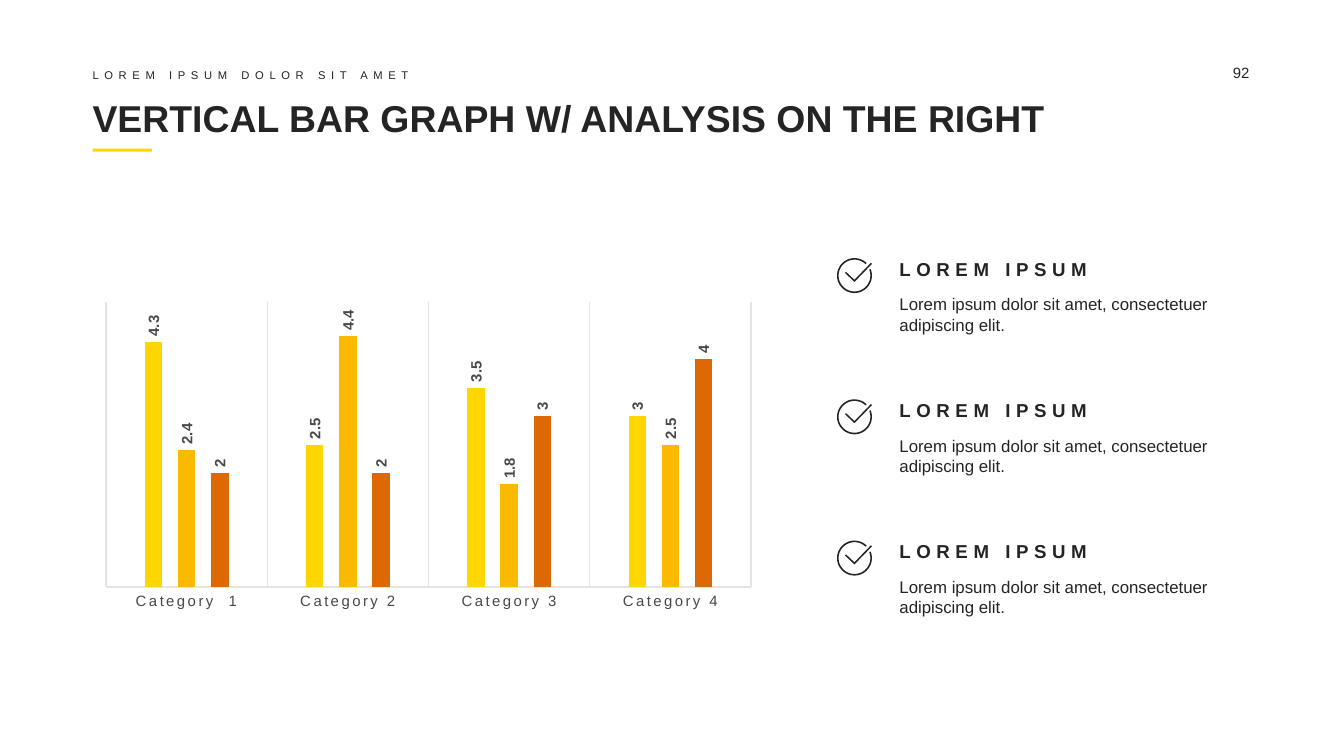
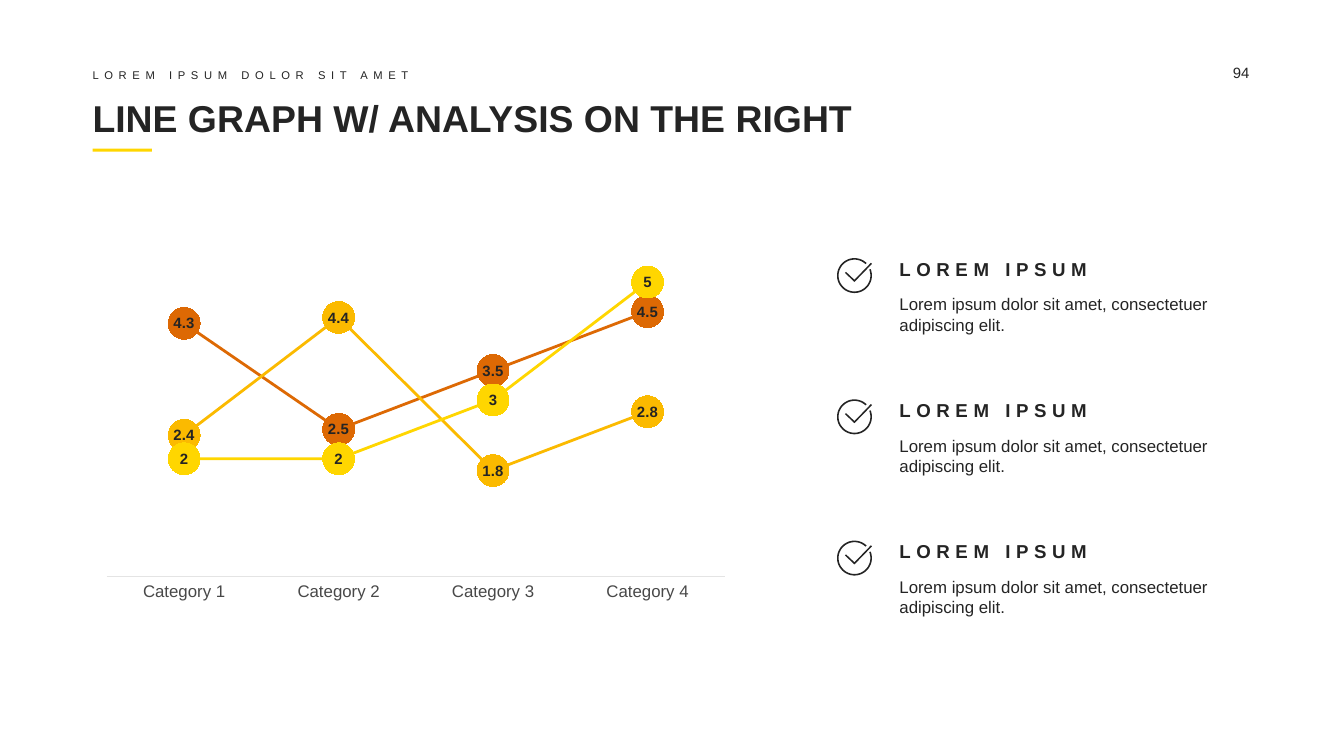
import math

from lxml import etree
from pptx import Presentation
from pptx.chart.data import CategoryChartData
from pptx.dml.color import RGBColor
from pptx.enum import chart as charts, shapes, text
from pptx.oxml import ns
from pptx.util import Cm, Pt

COLORS = {
    "ink": "242424",
    "label": "484848",
    "grid": "E4E4E4",
    "yellow": "FFD600",
    "amber": "FBBA00",
    "orange": "DD6904",
}
FONT = "Arial"
MARGIN = 1.75
RING_OUTER, RING_INNER = 0.33, 0.3
RING_START, RING_END = -22, 314
CHECK = [(-0.18, -0.05), (-0.16, -0.07), (0, 0.08), (0.31, -0.24), (0.33, -0.22), (0, 0.12)]


def color(name):
    return RGBColor.from_string(COLORS[name])


def arc(radius, degrees):
    angles = [math.radians(degree) for degree in degrees]
    return [(radius * math.cos(angle), radius * math.sin(angle)) for angle in angles]


class Builder:
    def __init__(self, deck):
        self.deck = deck
        self.page = None

    def add_page(self, title, number):
        self.page = self.deck.slides.add_slide(self.deck.slide_layouts[6])
        self.bar(MARGIN, 2.81, 1.12, 0.06)
        self.text(title, MARGIN, 1.75, 21.9, 0.95, 20, bold=True, middle=True)
        self.text(number, 23.3, 1.2, 1.1, 0.4, 8)
        self.text("LOREM IPSUM DOLOR SIT AMET", MARGIN, 1.3, 18.2, 0.25, 6, spacing=3, middle=True)

    def style(self, font, size, name, bold=False):
        font.name = FONT
        font.size = Pt(size)
        font.bold = bold
        font.color.rgb = color(name)

    def bar(self, left, top, width, height):
        shape = self.page.shapes.add_shape(
            shapes.MSO_SHAPE.RECTANGLE, Cm(left), Cm(top), Cm(width), Cm(height))
        self.paint(shape, "yellow")

    def paint(self, shape, name):
        shape.shadow.inherit = False
        shape.fill.solid()
        shape.fill.fore_color.rgb = color(name)
        shape.line.fill.background()

    def text(self, content, left, top, width, height, size,
             bold=False, spacing=0, middle=False, wrap=True):
        box = self.page.shapes.add_textbox(Cm(left), Cm(top), Cm(width), Cm(height))
        frame = box.text_frame
        frame.margin_left = frame.margin_right = frame.margin_top = frame.margin_bottom = 0
        frame.word_wrap = wrap
        frame.vertical_anchor = text.MSO_ANCHOR.MIDDLE if middle else text.MSO_ANCHOR.TOP
        para = frame.paragraphs[0]
        para.text = content
        self.style(para.font, size, "ink", bold)
        if spacing:
            para._p.xpath("a:pPr/a:defRPr")[0].set("spc", str(spacing * 100))

    def check_icon(self, center_x, center_y):
        sweep = range(RING_START, RING_END + 1, 6)
        ring = arc(RING_OUTER, sweep) + arc(RING_INNER, reversed(sweep))
        outlines = [[(Cm(x), Cm(y)) for x, y in points] for points in (ring, CHECK)]
        builder = self.page.shapes.build_freeform(*outlines[0][0])
        builder.add_line_segments(outlines[0][1:])
        builder.move_to(*outlines[1][0])
        builder.add_line_segments(outlines[1][1:])
        self.paint(builder.convert_to_shape(Cm(center_x), Cm(center_y)), "ink")

    def analysis(self):
        for row in range(3):
            top = 4.87 + row * 2.67
            self.text("Lorem ipsum dolor sit amet, consectetuer adipiscing elit.",
                      17, top + 0.69, 6.35, 0.76, 9)
            self.text("LOREM IPSUM", 17, top, 3.7, 0.43, 10, bold=True, spacing=3, wrap=False)
            self.check_icon(16.15, top + 0.34)

    def chart(self, kind, frame, plot, maximum, categories, series, label_size):
        data = CategoryChartData()
        data.categories = categories
        for number, (values, _) in enumerate(series, 1):
            data.add_series(f"Series {number}", values)
        chart = self.page.shapes.add_chart(kind, *(Cm(length) for length in frame), data).chart
        self.style(chart.font, 10, "label")
        chart.has_legend = chart.has_title = False
        value_axis, category_axis = chart.value_axis, chart.category_axis
        value_axis.minimum_scale, value_axis.maximum_scale = 0, maximum
        value_axis.has_major_gridlines = value_axis.visible = False
        category_axis.major_tick_mark = charts.XL_TICK_MARK.NONE
        self.style(category_axis.tick_labels.font, label_size, "label")
        self.rule(category_axis.format.line)
        chart.plots[0].vary_by_categories = False
        self.place_plot(chart, plot)
        return chart

    def rule(self, line):
        line.color.rgb = color("grid")
        line.width = Pt(0.75)

    def place_plot(self, chart, plot):
        area = chart.element.xpath(".//c:plotArea")[0]
        for layout in area.xpath("c:layout"):
            area.remove(layout)
        layout = etree.Element(ns.qn("c:layout"))
        area.insert(0, layout)
        manual = etree.SubElement(layout, ns.qn("c:manualLayout"))
        settings = [("layoutTarget", "inner"), ("xMode", "edge"), ("yMode", "edge")]
        for tag, value in settings + list(zip("xywh", plot)):
            etree.SubElement(manual, ns.qn(f"c:{tag}")).set("val", str(value))

    def value_labels(self, series, name, position):
        labels = series.data_labels
        labels.show_value = True
        labels.position = position
        self.style(labels.font, 8, name, bold=True)

    def bar_chart(self, categories, series):
        chart = self.chart(charts.XL_CHART_TYPE.COLUMN_CLUSTERED, (MARGIN, 5.59, 12.7, 6.05),
                           (0.02, 0.02, 0.96, 0.89), 5, categories, series, 8)
        chart.category_axis.has_major_gridlines = True
        self.rule(chart.category_axis.major_gridlines.format.line)
        plot = chart.plots[0]
        plot.gap_width, plot.overlap = 444, -90
        for bars, (_, name) in zip(plot.series, series):
            bars.format.fill.solid()
            bars.format.fill.fore_color.rgb = color(name)
            self.value_labels(bars, "label", charts.XL_LABEL_POSITION.OUTSIDE_END)
        for body in chart.element.xpath(".//c:dLbls//a:bodyPr"):
            body.set("rot", "-5400000")
            body.set("vert", "horz")
        for font in chart.element.xpath(".//c:catAx//a:defRPr"):
            font.set("spc", "120")

    def line_chart(self, categories, series):
        chart = self.chart(charts.XL_CHART_TYPE.LINE_MARKERS, (1.78, 4.22, 12.04, 7.77),
                           (0.02, 0, 0.97, 0.86), 6, categories, series, 9)
        for curve, (_, name) in zip(chart.plots[0].series, series):
            curve.smooth = False
            curve.format.line.color.rgb = color(name)
            curve.format.line.width = Pt(1.5)
            marker = curve.marker
            marker.style = charts.XL_MARKER_STYLE.CIRCLE
            marker.size = 17
            marker.format.fill.solid()
            marker.format.fill.fore_color.rgb = color(name)
            marker.format.line.fill.background()
            self.value_labels(curve, "ink", charts.XL_LABEL_POSITION.CENTER)


def main():
    deck = Presentation()
    deck.slide_width, deck.slide_height = Cm(25.4), Cm(14.29)
    builder = Builder(deck)
    categories = [f"Category {number}" for number in range(1, 5)]

    builder.add_page("VERTICAL BAR GRAPH W/ ANALYSIS ON THE RIGHT", "92")
    builder.bar_chart(["Category  1"] + categories[1:], [
        ((4.3, 2.5, 3.5, 3), "yellow"),
        ((2.4, 4.4, 1.8, 2.5), "amber"),
        ((2, 2, 3, 4), "orange"),
    ])
    builder.analysis()

    builder.add_page("LINE GRAPH W/ ANALYSIS ON THE RIGHT", "94")
    builder.line_chart(categories, [
        ((4.3, 2.5, 3.5, 4.5), "orange"),
        ((2.4, 4.4, 1.8, 2.8), "amber"),
        ((2, 2, 3, 5), "yellow"),
    ])
    builder.analysis()

    deck.save("out.pptx")


if __name__ == "__main__":
    main()
